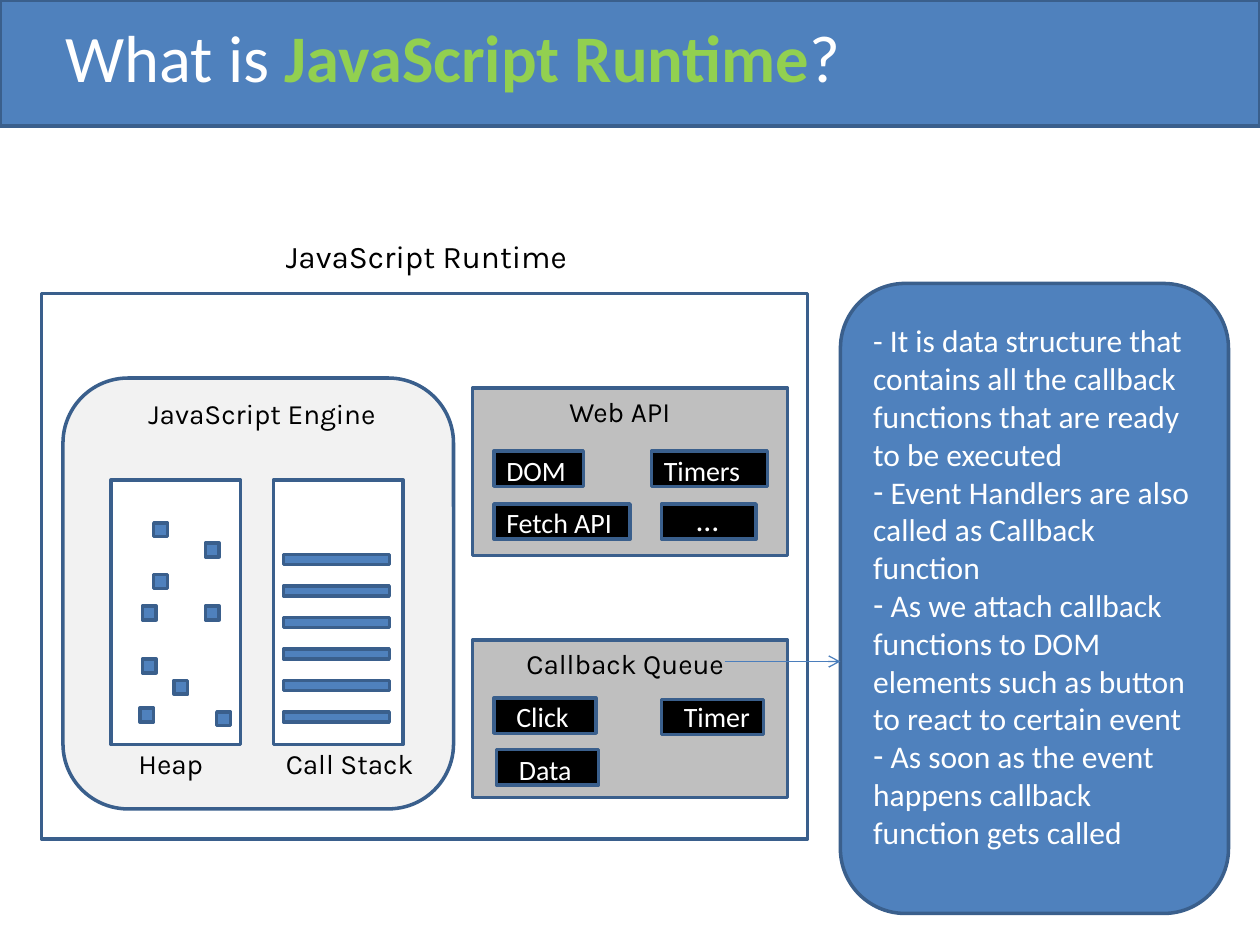
from dataclasses import dataclass

from lxml.etree import SubElement
from pptx import Presentation
from pptx.dml.color import RGBColor
from pptx.enum.shapes import MSO_CONNECTOR, MSO_SHAPE
from pptx.enum.text import MSO_ANCHOR, MSO_AUTO_SIZE, PP_ALIGN
from pptx.oxml.ns import qn
from pptx.util import Inches, Pt

COLORS = {
    "blue": "4F81BD",
    "outline": "3A5F8C",
    "arrow": "4B7EBC",
    "green": "92D050",
    "white": "FFFFFF",
    "black": "000000",
    "engine": "F2F2F2",
    "panel": "BFBFBF",
}


@dataclass(frozen=True)
class Area:
    left: float
    top: float
    width: float
    height: float

    def lengths(self) -> tuple:
        return tuple(map(Inches, (self.left, self.top, self.width, self.height)))


@dataclass(frozen=True)
class Label:
    text: str
    area: Area
    font: str = "Karla"
    size: int = 16
    color: str = "black"


@dataclass(frozen=True)
class Chip:
    """A black tag; its caption has its own area."""
    area: Area
    text: str
    caption: Area
    size: int = 16


TITLE_SPANS = [("What is ", "white", False), ("JavaScript Runtime", "green", True),
               ("?", "white", False)]
TITLE_AREA = Area(0.42, 0.08, 6.58, 0.74)
NOTES_AREA = Area(6.83, 2.5, 2.75, 4.34)
NOTES = [
    "- It is data structure that contains all the callback functions that are ready to be executed",
    " Event Handlers are also called as Callback function",
    " As we attach callback functions to DOM elements such as button to react to certain event",
    " As soon as the event happens callback function gets called",
]
HEAP_CELLS = [(1.22, 4.15), (1.63, 4.31), (1.22, 4.56), (1.13, 4.81), (1.63, 4.81),
              (1.13, 5.23), (1.38, 5.4), (1.11, 5.62), (1.72, 5.65)]
STACK_FRAMES = 6
LABELS = [
    Label("JavaScript Runtime", Area(2.17, 1.83, 2.5, 0.4), size=18),
    Label("JavaScript Engine", Area(1.08, 3.1, 2.08, 0.37)),
    Label("Heap", Area(1, 5.88, 0.75, 0.37)),
    Label("Call Stack", Area(2.17, 5.88, 1.5, 0.37)),
    Label("Web API", Area(4.42, 3.08, 1.25, 0.37)),
    Label("Callback Queue", Area(4.08, 5.08, 1.92, 0.37)),
]
CHIPS = [
    Chip(Area(3.92, 3.58, 0.71, 0.28), "DOM", Area(3.92, 3.55, 0.83, 0.37)),
    Chip(Area(5.17, 3.58, 0.92, 0.28), "Timers", Area(5.17, 3.55, 1, 0.37)),
    Chip(Area(3.92, 4, 1.08, 0.28), "Fetch API", Area(3.92, 3.96, 1.58, 0.37)),
    Chip(Area(5.25, 4, 0.75, 0.28), "…", Area(5.43, 3.92, 0.65, 0.4), 18),
    Chip(Area(3.92, 5.54, 0.81, 0.28), "Click", Area(4, 5.5, 1, 0.37)),
    Chip(Area(5.25, 5.55, 0.81, 0.28), "Timer", Area(5.33, 5.5, 0.83, 0.37)),
    Chip(Area(3.94, 5.95, 0.81, 0.28), "Data", Area(4.02, 5.92, 0.67, 0.37)),
]


def rgb(name: str) -> RGBColor:
    return RGBColor.from_string(COLORS[name])


def set_font(font, name: str, size: int, color: str) -> None:
    font.name, font.size = name, Pt(size)
    font.color.rgb = rgb(color)


def add_block(page, area: Area, fill: str, preset=MSO_SHAPE.RECTANGLE):
    block = page.shapes.add_shape(preset, *area.lengths())
    block.shadow.inherit = False
    block.fill.solid()
    block.fill.fore_color.rgb = rgb(fill)
    block.line.color.rgb = rgb("outline")
    block.line.width = Pt(2)
    return block


def add_label(page, label: Label) -> None:
    box = page.shapes.add_textbox(*label.area.lengths())
    box.text_frame.word_wrap = True
    para = box.text_frame.paragraphs[0]
    para.text = label.text
    set_font(para.font, label.font, label.size, label.color)


def add_chip(page, chip: Chip) -> None:
    add_block(page, chip.area, "black")
    add_label(page, Label(chip.text, chip.caption, "Calibri", chip.size, "white"))


def add_arrow(page, start: tuple[float, float], end: tuple[float, float]) -> None:
    arrow = page.shapes.add_connector(MSO_CONNECTOR.STRAIGHT, *map(Inches, start + end))
    arrow.line.color.rgb = rgb("arrow")
    arrow.line.width = Pt(0.75)
    SubElement(arrow.line._get_or_add_ln(), qn("a:tailEnd"), type="arrow")
    SubElement(arrow.element.spPr, qn("a:effectLst"))


def place_on_top(placeholder, area: Area):
    """Move a placeholder to its area in front of the shapes drawn so far."""
    placeholder.left, placeholder.top, placeholder.width, placeholder.height = area.lengths()
    placeholder.element.getparent().append(placeholder.element)
    frame = placeholder.text_frame
    frame.word_wrap = True
    frame.auto_size = MSO_AUTO_SIZE.NONE
    frame.vertical_anchor = MSO_ANCHOR.TOP
    return frame


def fill_title(page) -> None:
    para = place_on_top(page.shapes.title, TITLE_AREA).paragraphs[0]
    para.alignment = PP_ALIGN.LEFT
    for text, color, bold in TITLE_SPANS:
        span = para.add_run()
        span.text = text
        set_font(span.font, "Calibri", 38, color)
        span.font.bold = bold


def fill_notes(page) -> None:
    frame = place_on_top(page.placeholders[1], NOTES_AREA)
    frame.text = "\n".join(NOTES)
    for index, para in enumerate(frame.paragraphs):
        para.space_before = Pt(0)
        set_font(para.font, "Calibri", 18, "white")
        properties = para._p.get_or_add_pPr()
        properties.set("marL", "0")
        properties.set("indent", "0")
        bullet = (SubElement(properties, qn("a:buChar"), char="-") if index
                  else SubElement(properties, qn("a:buNone")))
        properties.find(qn("a:defRPr")).addprevious(bullet)


def main() -> None:
    deck = Presentation()
    deck.slide_width, deck.slide_height = Inches(10), Inches(7.5)
    page = deck.slides.add_slide(deck.slide_layouts[1])

    add_block(page, Area(0, 0, 10, 1), "blue")
    fill_title(page)

    add_block(page, Area(0.33, 2.33, 6.08, 4.33), "white")
    add_block(page, Area(0.5, 3, 3.1, 3.42), "engine", MSO_SHAPE.ROUNDED_RECTANGLE)
    for left in (0.88, 2.17):
        add_block(page, Area(left, 3.81, 1.03, 2.1), "white")
    for left, top in HEAP_CELLS:
        add_block(page, Area(left, top, 0.11, 0.11), "blue")
    for index in range(STACK_FRAMES):
        add_block(page, Area(2.25, 4.4 + 0.25 * index, 0.84, 0.08), "blue")
    for top, height in ((3.08, 1.33), (5.08, 1.25)):
        add_block(page, Area(3.75, top, 2.5, height), "panel")
    for label in LABELS:
        add_label(page, label)
    for chip in CHIPS:
        add_chip(page, chip)

    add_block(page, Area(6.67, 2.25, 3.08, 5), "blue", MSO_SHAPE.ROUNDED_RECTANGLE)
    fill_notes(page)
    add_arrow(page, (5.75, 5.25), (6.67, 5.25))
    deck.save("out.pptx")


if __name__ == "__main__":
    main()
